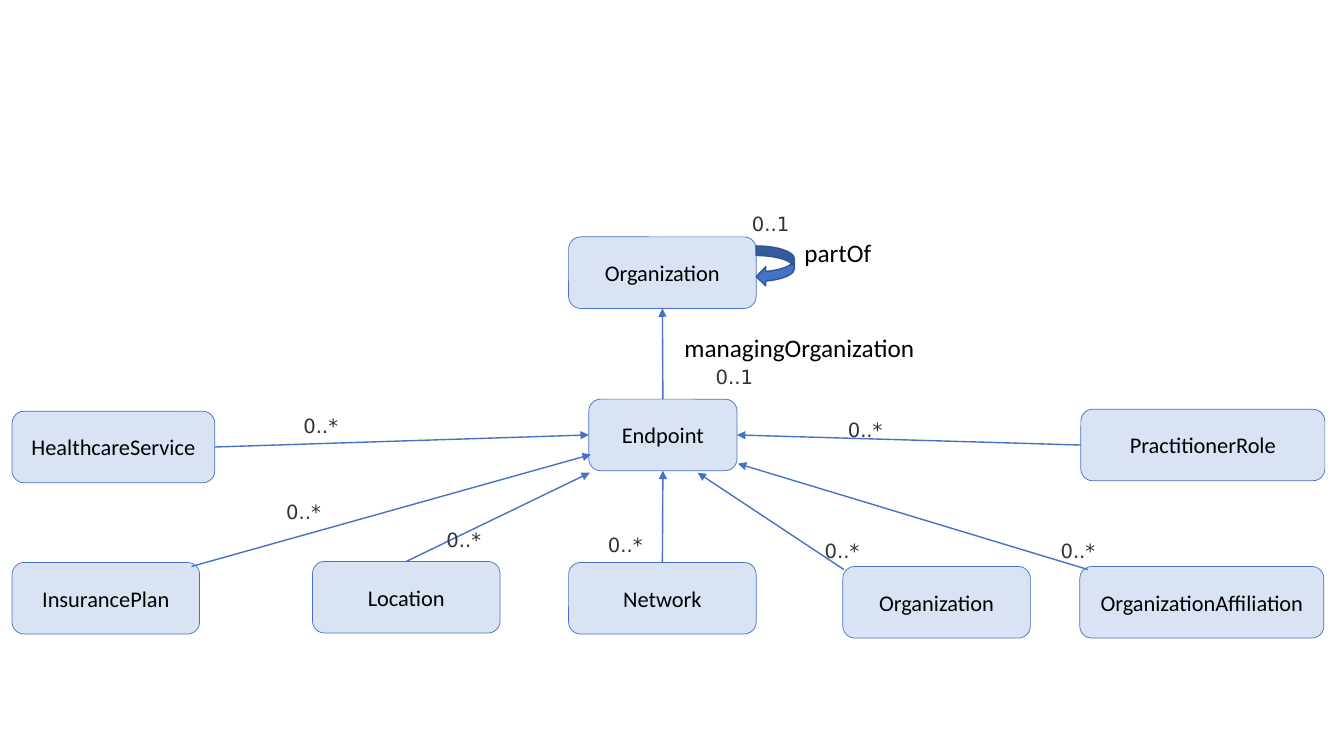
import pptx
import pptx.util
import pptx.dml.color
import pptx.enum.shapes
import pptx.enum.text
import pptx.oxml
import pptx.oxml.ns

COLORS = {
    "box": "DAE3F3",
    "line": "4472C4",
    "loop_edge": "325491",
    "name": "000000",
    "count": "333333",
}
BOX_HEIGHT = 0.71
TOP, LEFT, BOTTOM, RIGHT = range(4)

RESOURCES = {
    "endpoint": ("Endpoint", 5.84, 3.96, 1.47),
    "manager": ("Organization", 5.64, 2.35, 1.86),
    "service": ("HealthcareService", 0.12, 4.08, 2.01),
    "organization": ("Organization", 8.36, 5.62, 1.86),
    "plan": ("InsurancePlan", 0.12, 5.58, 1.86),
    "location": ("Location", 3.1, 5.57, 1.86),
    "network": ("Network", 5.64, 5.58, 1.86),
    "affiliation": ("OrganizationAffiliation", 10.71, 5.62, 2.42),
    "role": ("PractitionerRole", 10.72, 4.06, 2.42),
}
REFERENCES = [
    (("endpoint", TOP), ("manager", BOTTOM)),
    (("service", RIGHT), ("endpoint", LEFT)),
    (("role", LEFT), ("endpoint", RIGHT)),
    ((1.9, 5.62), (5.86, 4.51)),
    (("location", TOP), (5.85, 4.69)),
    (("network", TOP), ("endpoint", BOTTOM)),
    ((8.37, 5.65), (6.92, 4.69)),
    ((10.79, 5.65), (7.32, 4.6)),
]
LOOP = (7.5, 2.44, 0.38, 0.4)
ROLE_NAMES = [
    ("managingOrganization", 6.69, 3.25, 2.51),
    ("partOf", 7.88, 2.31, 0.87),
]
COUNTS = {
    "0..1": [(7.36, 2.05), (7, 3.57)],
    "0..*": [(2.91, 4.06), (8.31, 4.1), (2.74, 4.91), (4.33, 5.19),
             (5.93, 5.24), (8.08, 5.3), (10.42, 5.3)],
}

Inches = pptx.util.Inches


def rgb(key):
    return pptx.dml.color.RGBColor.from_string(COLORS[key])


def add_run(paragraph, text, size, font, color):
    run = paragraph.add_run()
    run.text = text
    run.font.size = pptx.util.Pt(size)
    run.font.name = font
    run.font.color.rgb = rgb(color)


def add_figure(slide, kind, place, fill, edge, width):
    figure = slide.shapes.add_shape(kind, *map(Inches, place))
    figure.shadow.inherit = False
    figure.fill.solid()
    figure.fill.fore_color.rgb = rgb(fill)
    figure.line.color.rgb = rgb(edge)
    figure.line.width = pptx.util.Pt(width)
    return figure


def add_resource(slide, name, left, top, width):
    box = add_figure(slide, pptx.enum.shapes.MSO_SHAPE.ROUNDED_RECTANGLE,
                     (left, top, width, BOX_HEIGHT), "box", "line", 0.5)
    frame = box.text_frame
    frame.vertical_anchor = pptx.enum.text.MSO_ANCHOR.MIDDLE
    frame.paragraphs[0].alignment = pptx.enum.text.PP_ALIGN.CENTER
    add_run(frame.paragraphs[0], name, 16, "Calibri", "name")
    return box


def add_label(slide, text, place, wrap, size, font, color):
    frame = slide.shapes.add_textbox(*map(Inches, place)).text_frame
    frame.word_wrap = wrap
    frame.auto_size = pptx.enum.text.MSO_AUTO_SIZE.SHAPE_TO_FIT_TEXT
    add_run(frame.paragraphs[0], text, size, font, color)


def find_point(end):
    if end[0] not in RESOURCES:
        return end
    key, side = end
    name, left, top, width = RESOURCES[key]
    across, down = {TOP: (0.5, 0), LEFT: (0, 0.5),
                    BOTTOM: (0.5, 1), RIGHT: (1, 0.5)}[side]
    return left + across * width, top + down * BOX_HEIGHT


def add_reference(slide, boxes, start, finish):
    points = find_point(start) + find_point(finish)
    arrow = slide.shapes.add_connector(
        pptx.enum.shapes.MSO_CONNECTOR.STRAIGHT, *map(Inches, points))
    for end, join in ((start, arrow.begin_connect), (finish, arrow.end_connect)):
        if end[0] in boxes:
            join(boxes[end[0]], end[1])
    arrow.line.color.rgb = rgb("line")
    arrow.line.width = pptx.util.Pt(1)
    head = pptx.oxml.parse_xml(
        f'<a:tailEnd {pptx.oxml.ns.nsdecls("a")} type="triangle"/>')
    arrow.line._get_or_add_ln().append(head)
    no_effect = pptx.oxml.parse_xml(
        f'<a:effectLst {pptx.oxml.ns.nsdecls("a")}/>')
    arrow._element.spPr.append(no_effect)


def main():
    deck = pptx.Presentation()
    deck.slide_width = Inches(13.33)
    deck.slide_height = Inches(7.5)
    slide = deck.slides.add_slide(deck.slide_layouts[6])

    boxes = {key: add_resource(slide, *resource)
             for key, resource in RESOURCES.items()}
    add_figure(slide, pptx.enum.shapes.MSO_SHAPE.CURVED_LEFT_ARROW,
               LOOP, "line", "loop_edge", 1)
    for start, finish in REFERENCES:
        add_reference(slide, boxes, start, finish)
    for name, left, top, width in ROLE_NAMES:
        add_label(slide, name, (left, top, width, 0.4), False,
                  18, "Calibri", "name")
    for count, places in COUNTS.items():
        for left, top in places:
            add_label(slide, count, (left, top, 0.72, 0.34), True,
                      14, "DejaVu Sans", "count")
    deck.save("out.pptx")


if __name__ == "__main__":
    main()
